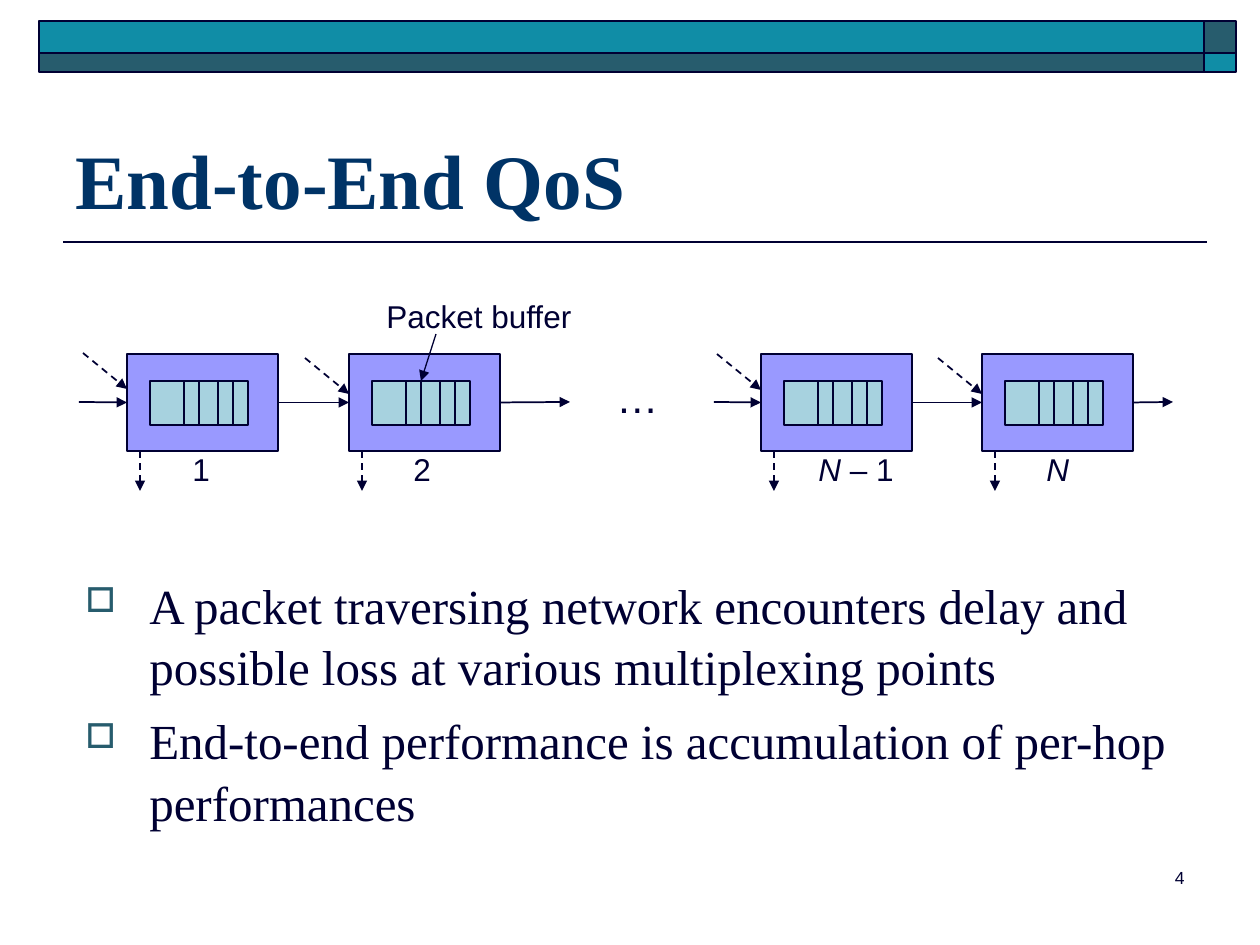
from lxml.etree import SubElement as Sub
from pptx import Presentation
from pptx.dml.color import RGBColor as RGB
from pptx.enum.dml import MSO_LINE as Dash
from pptx.enum.shapes import MSO_CONNECTOR as Conn, MSO_SHAPE as Shape
from pptx.enum.text import MSO_ANCHOR as Anchor, PP_ALIGN as Align
from pptx.oxml.ns import qn
from pptx.util import Pt

PX = 914400 / 126
INK = RGB(0x00, 0x00, 0x33)
NAVY = RGB(0x00, 0x33, 0x66)
TEAL = RGB(0x10, 0x8D, 0xA6)
SLATE = RGB(0x27, 0x5C, 0x6D)
LILAC = RGB(0x99, 0x99, 0xFF)
AQUA = RGB(0xA7, 0xD2, 0xDF)
SANS, SERIF = "Arial", "Times New Roman"
TOP, LEFT, RIGHT = 0, 1, 3


def px(*nums):
    return [round(n * PX) for n in nums]


def add_rect(slide, box, fill, width=1):
    rect = slide.shapes.add_shape(Shape.RECTANGLE, *px(*box))
    rect.shadow.inherit = False
    rect.fill.solid()
    rect.fill.fore_color.rgb = fill
    rect.line.color.rgb = INK
    rect.line.width = Pt(width)
    return rect


def add_line(slide, start, end, width=1, head=False, dash=False):
    line = slide.shapes.add_connector(Conn.STRAIGHT, *px(*start, *end))
    line.line.color.rgb = INK
    line.line.width = Pt(width)
    if dash:
        line.line.dash_style = Dash.DASH
    if head:
        Sub(line.line._get_or_add_ln(), qn("a:tailEnd"), type="triangle")
    Sub(line._element.spPr, qn("a:effectLst"))
    return line


def style(font, size, face, color=INK, bold=False):
    font.size = Pt(size)
    font.name = face
    font.color.rgb = color
    font.bold = bold


def add_text(slide, box, text, size, face=SANS, color=INK, bold=False, wrap=True):
    frame = slide.shapes.add_textbox(*px(*box)).text_frame
    frame.word_wrap = wrap
    frame.text = text
    for para in frame.paragraphs:
        style(para.font, size, face, color, bold)
    return frame


def add_band(slide, x, y, wide, end):
    # Two rows, with the colours swapped in the end cells
    for dy, high, main, tip in ((0, 32, TEAL, SLATE), (32, 19, SLATE, TEAL)):
        add_rect(slide, (x, y + dy, wide, high), main)
        add_rect(slide, (x + wide, y + dy, end, high), tip)


def add_title(slide, x, y, wide, high):
    frame = add_text(slide, (x, y, wide, high), "End-to-End QoS", 44, SERIF, NAVY, True)
    frame.vertical_anchor = Anchor.BOTTOM
    add_line(slide, (x, y + 169), (x + 1144, y + 169))


def add_node(slide, x, y, wide, high, slant):
    node = add_rect(slide, (x, y, wide, high), LILAC, 0.75)
    # Packet buffer with its slots
    left, top, tall = x + 23, y + 27, 44
    queue = add_rect(slide, (left, top, 98, tall), AQUA)
    for dx in (34, 49, 68, 83):
        add_line(slide, (left + dx, top), (left + dx, top + tall))
    # Cross traffic in and out
    add_line(slide, (x - 44, y + slant), (x, y + slant + 36), head=True, dash=True)
    add_line(slide, (x + 13, y + high), (x + 13, y + high + 40), head=True, dash=True)
    return node, queue


def add_path(slide, x, y):
    # Each hop: left, slant, label left, label width, label
    hops = ((0, -1, 53, 43, "1"), (222, 4, 52, 43, "2"),
            (634, 0, 45, 101, "N – 1"), (855, 4, 52, 48, "N"))
    wide, high = 151, 97
    nodes = []
    for dx, slant, shift, span, label in hops:
        nodes.append(add_node(slide, x + dx, y, wide, high, slant))
        box = (x + dx + shift, y + 90, span, 50)
        frame = add_text(slide, box, "", 18, wrap=False)
        head, rest = label[:2], label[2:]
        for part in filter(None, (head, rest)):
            run = frame.paragraphs[0].add_run()
            run.text = part
            style(run.font, 18, SANS)
            run.font.italic = part.startswith("N")

    # Main flow: start, end, node left, node joined
    mid = y + high // 2
    one, two, prev, last = [node for node, _ in nodes]
    flows = ((-48, 0, None, one), (151, 222, one, two), (373, 443, two, None),
             (587, 634, None, prev), (785, 855, prev, last), (1006, 1046, last, None))
    for start, end, tail, goal in flows:
        flow = add_line(slide, (x + start, mid), (x + end, mid), head=True)
        if tail:
            flow.begin_connect(tail, RIGHT)
        if goal:
            flow.end_connect(goal, LEFT)

    # Callout and ellipsis
    add_text(slide, (x + 247, y - 63, 210, 50), "Packet buffer", 18, wrap=False)
    note = add_line(slide, (x + 309, y - 20), (x + 290, y + 27), 0.75, head=True)
    note.end_connect(nodes[1][1], TOP)
    add_text(slide, (x + 477, y + 11, 67, 63), "…", 24)


def add_points(slide, x, y, wide, high):
    points = ("A packet traversing network encounters delay and "
              "possible loss at various multiplexing points",
              "End-to-end performance is accumulation of per-hop performances")
    frame = add_text(slide, (x, y, wide, high), "", 28, SERIF)
    for i, point in enumerate(points):
        para = frame.add_paragraph() if i else frame.paragraphs[0]
        para.text = point
        para.line_spacing = 1.05
        if i:
            para.space_before = Pt(7)
        props = para._p.get_or_add_pPr()
        hang = px(64)[0]
        props.set("marL", str(hang))
        props.set("indent", str(-hang))
        for old in props.findall(qn("a:defRPr")):
            props.remove(old)
        Sub(Sub(props, qn("a:buClr")), qn("a:srgbClr"), val=str(SLATE))
        Sub(props, qn("a:buSzPct"), val="70000")
        Sub(props, qn("a:buChar"), char="□")
        style(para.font, 28, SERIF)


def add_number(slide, *box):
    frame = add_text(slide, box, "4", 10)
    frame.paragraphs[0].alignment = Align.RIGHT


def main():
    deck = Presentation()
    deck.slide_width, deck.slide_height = px(1260, 945)
    slide = deck.slides.add_slide(deck.slide_layouts[6])
    add_band(slide, 39, 21, 1165, 32)
    add_title(slide, 63, 73, 1134, 158)
    add_path(slide, 127, 354)
    add_points(slide, 73, 566, 1134, 262)
    add_number(slide, 935, 861, 262, 63)
    deck.save("out.pptx")


if __name__ == "__main__":
    main()
